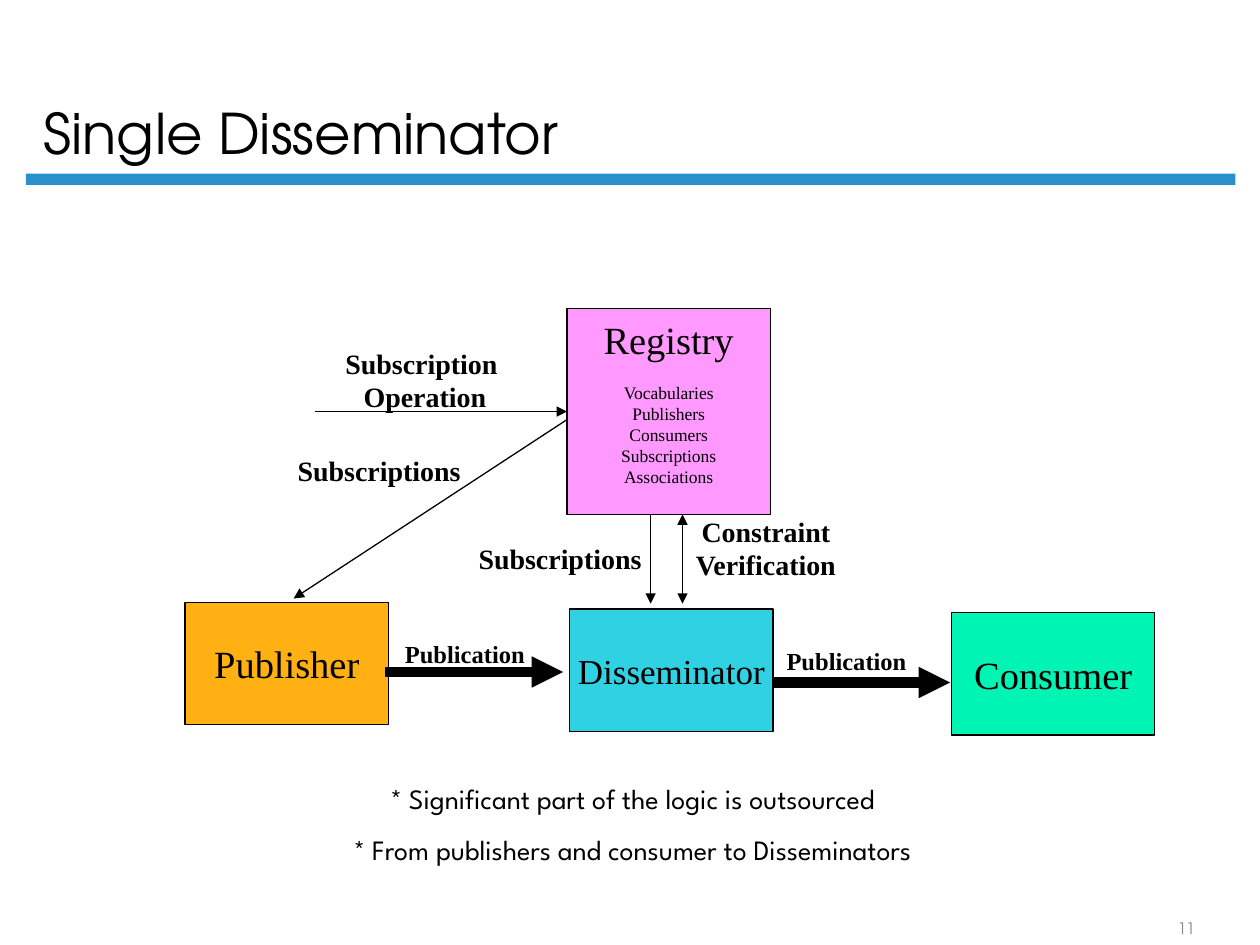
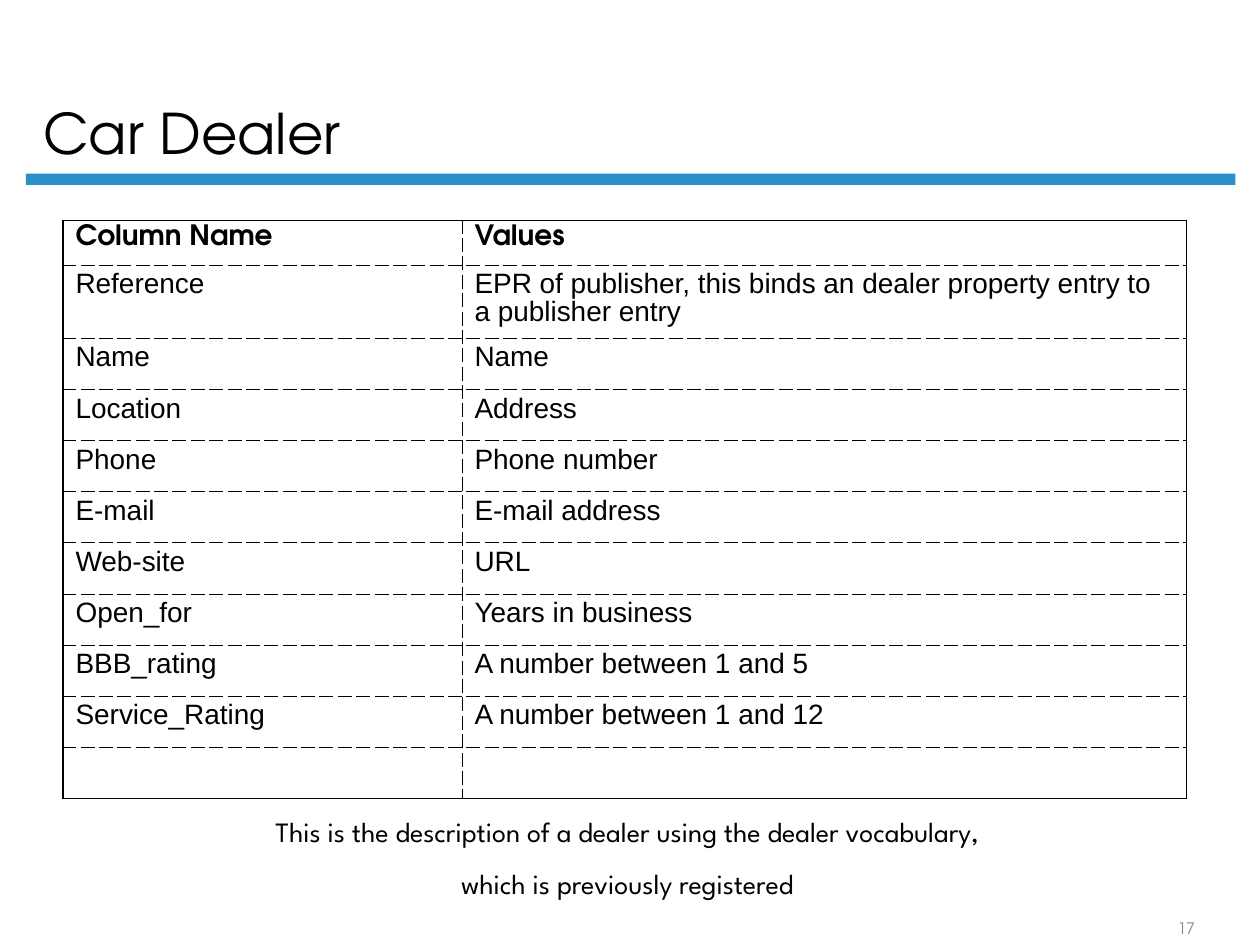
from lxml.etree import SubElement
from pptx import Presentation
from pptx.dml.color import RGBColor
from pptx.enum.shapes import MSO_CONNECTOR, MSO_SHAPE
from pptx.enum.text import MSO_ANCHOR, MSO_AUTO_SIZE, PP_ALIGN
from pptx.oxml.ns import qn
from pptx.util import Pt

BLACK = RGBColor(0x00, 0x00, 0x00)
BAND_BLUE = RGBColor(0x29, 0x90, 0xCA)
NUMBER_GRAY = RGBColor(0x84, 0x85, 0x89)
ORANGE = RGBColor(0xFF, 0xB0, 0x13)
GREEN = RGBColor(0x00, 0xF4, 0xB4)
CYAN = RGBColor(0x30, 0xD1, 0xE2)
PINK = RGBColor(0xFF, 0x99, 0xFF)

HEADING_FONT = "TeX Gyre Adventor"
NOTE_FONT = "League Spartan"
DIAGRAM_FONT = "Times New Roman"
TABLE_FONT = "Arial"


def write(text_frame, text, font_name, size, color=BLACK, bold=False, alignment=PP_ALIGN.CENTER):
    text_frame.text = text
    for paragraph in text_frame.paragraphs:
        paragraph.alignment = alignment
        paragraph.font.name = font_name
        paragraph.font.size = Pt(size)
        paragraph.font.color.rgb = color
        paragraph.font.bold = bold


def add_label(slide, left, top, width, height, text, font_name, size, bold=False):
    label = slide.shapes.add_textbox(Pt(left), Pt(top), Pt(width), Pt(height))
    label.text_frame.word_wrap = False
    label.text_frame.auto_size = MSO_AUTO_SIZE.SHAPE_TO_FIT_TEXT
    write(label.text_frame, text, font_name, size, bold=bold)
    return label


presentation = Presentation()
presentation.slide_width = Pt(720)
presentation.slide_height = Pt(540)

# Shared parts: title, blue band, page number and closing note
PAGES = [
    ("Single Disseminator", "11", (165.3, 442.8, 392.4),
     "* Significant part of the logic is outsourced\n"
     "* From publishers and consumer to Disseminators"),
    ("Car Dealer", "17", (119.5, 462.2, 478),
     "This is the description of a dealer using the dealer vocabulary,\n"
     "which is previously registered"),
]
slides = []
for title_text, page_number, (note_left, note_top, note_width), note_text in PAGES:
    slide = presentation.slides.add_slide(presentation.slide_layouts[5])
    slides.append(slide)

    title = slide.shapes.title
    title.left, title.top, title.width, title.height = Pt(17.6), Pt(8.6), Pt(616.3), Pt(90)
    title.text_frame.auto_size = MSO_AUTO_SIZE.NONE
    title.text_frame.vertical_anchor = MSO_ANCHOR.BOTTOM
    write(title.text_frame, title_text, HEADING_FONT, 32, alignment=PP_ALIGN.LEFT)
    title.text_frame.paragraphs[0].line_spacing = 0.9

    band = slide.shapes.add_shape(MSO_SHAPE.RECTANGLE, Pt(14.8), Pt(99.2), Pt(691.2), Pt(6.5))
    band.shadow.inherit = False
    band.fill.solid()
    band.fill.fore_color.rgb = BAND_BLUE
    band.line.fill.background()

    number = slide.shapes.add_textbox(Pt(648), Pt(522), Pt(59.8), Pt(17.3))
    number.text_frame.word_wrap = True
    number.text_frame.vertical_anchor = MSO_ANCHOR.BOTTOM
    write(number.text_frame, page_number, HEADING_FONT, 9, NUMBER_GRAY)

    note = add_label(slide, note_left, note_top, note_width, 55.4, note_text, NOTE_FONT, 16)
    note.text_frame.paragraphs[1].space_before = Pt(10)

diagram_slide, table_slide = slides

# Diagram boxes
BOXES = [
    ("Publisher", 105.8, 344.2, 69.8, ORANGE, 22),
    ("Consumer", 543.7, 350.2, 69.8, GREEN, 22),
    ("Disseminator", 325.6, 348.1, 69.8, CYAN, 20),
    ("Registry\nVocabularies\nPublishers\nConsumers\nSubscriptions\nAssociations",
     324, 176.4, 117.6, PINK, 10),
]
for text, left, top, height, color, size in BOXES:
    box = diagram_slide.shapes.add_shape(
        MSO_SHAPE.RECTANGLE, Pt(left), Pt(top), Pt(116.2), Pt(height))
    box.shadow.inherit = False
    box.fill.solid()
    box.fill.fore_color.rgb = color
    box.line.color.rgb = BLACK
    box.line.width = Pt(0.75)
    frame = box.text_frame
    frame.word_wrap = False
    frame.vertical_anchor = MSO_ANCHOR.MIDDLE
    frame.margin_left = frame.margin_right = Pt(13)
    frame.margin_top = frame.margin_bottom = Pt(6.5)
    write(frame, text, DIAGRAM_FONT, size)

# The registry comes last: larger heading, list set off below it
registry = box
registry.text_frame.margin_bottom = Pt(18)
registry_heading = registry.text_frame.paragraphs[0]
registry_heading.font.size = Pt(22)
registry_heading.space_after = Pt(11.5)

# Arrows: start, end, width, arrow ends
ARROWS = [
    ((180, 235.2), (324, 235.2), 0.75, ["tailEnd"]),
    ((324, 239.8), (167.8, 342), 0.75, ["tailEnd"]),
    ((220.3, 384), (321.8, 384), 6, ["tailEnd"]),
    ((442, 390), (543, 390), 6, ["tailEnd"]),
    ((371.8, 294), (371.8, 345), 0.75, ["tailEnd"]),
    ((390, 294), (390, 345), 0.75, ["headEnd", "tailEnd"]),
]
arrows = []
for start, end, width, arrow_ends in ARROWS:
    arrow = diagram_slide.shapes.add_connector(
        MSO_CONNECTOR.STRAIGHT, *[Pt(value) for value in start + end])
    arrow.line.color.rgb = BLACK
    arrow.line.width = Pt(width)
    for arrow_end in arrow_ends:
        SubElement(arrow.line._get_or_add_ln(), qn("a:" + arrow_end), type="triangle")
    SubElement(arrow._element.spPr, qn("a:effectLst"))
    arrows.append(arrow)
arrows[0].end_connect(registry, 1)

# Arrow labels
LABELS = [
    ("Subscription \nOperation", 190.3, 194.4, 105.1, 46, 16),
    ("Subscriptions", 163, 255.6, 107.3, 26.6, 16),
    ("Subscriptions ", 266.2, 306, 111.6, 26.6, 16),
    ("Constraint\nVerification", 389.8, 290.2, 95.8, 46, 16),
]
for text, left, top, width, height, size in LABELS:
    add_label(diagram_slide, left, top, width, height, text, DIAGRAM_FONT, size, bold=True)

# Labels over the thick arrows have narrow margins, so the word stays on one line
for left, top in [(221.7, 362.2), (439.8, 366.2)]:
    publication = add_label(diagram_slide, left, top, 88, 23, "Publication",
                            DIAGRAM_FONT, 14, bold=True)
    publication.text_frame.margin_left = publication.text_frame.margin_right = Pt(5)
    publication.text_frame.margin_top = publication.text_frame.margin_bottom = Pt(3)

# Dealer table
DEALER_ROWS = [
    ("Column Name", "Values"),
    ("Reference", "EPR of publisher, this binds an dealer property entry to a publisher entry"),
    ("Name", "Name"),
    ("Location", "Address"),
    ("Phone", "Phone number"),
    ("E-mail", "E-mail address"),
    ("Web-site", "URL"),
    ("Open_for", "Years in business"),
    ("BBB_rating", "A number between 1 and 5"),
    ("Service_Rating", "A number between 1 and 12"),
    ("", ""),
]
row_heights = [25.5, 41.8] + [29.25] * 9
last_row = len(DEALER_ROWS) - 1
table = table_slide.shapes.add_table(
    len(DEALER_ROWS), 2, Pt(36), Pt(126), Pt(642), Pt(sum(row_heights))).table
table.first_row = table.horz_banding = False
table.columns[0].width, table.columns[1].width = Pt(228), Pt(414)

for row_index, row_texts in enumerate(DEALER_ROWS):
    table.rows[row_index].height = Pt(row_heights[row_index])
    is_header = row_index == 0
    for column_index, text in enumerate(row_texts):
        cell = table.cell(row_index, column_index)
        write(cell.text_frame, text, HEADING_FONT if is_header else TABLE_FONT, 16,
              bold=is_header, alignment=PP_ALIGN.LEFT)
        cell.text_frame.paragraphs[0].line_spacing = 0.9
        cell.text_frame.paragraphs[0].space_after = Pt(2)

        # Solid outer frame, thin dashed lines inside
        outer_sides = {"lnL": column_index == 0, "lnR": column_index == 1,
                       "lnT": is_header, "lnB": row_index == last_row}
        cell_properties = cell._tc.get_or_add_tcPr()
        for side, is_outer in outer_sides.items():
            border = SubElement(cell_properties, qn("a:" + side),
                                w=str(Pt(1.08 if is_outer else 0.45)))
            SubElement(SubElement(border, qn("a:solidFill")), qn("a:srgbClr"), val=str(BLACK))
            SubElement(border, qn("a:prstDash"), val="solid" if is_outer else "dash")
        cell.fill.background()

presentation.save("out.pptx")
